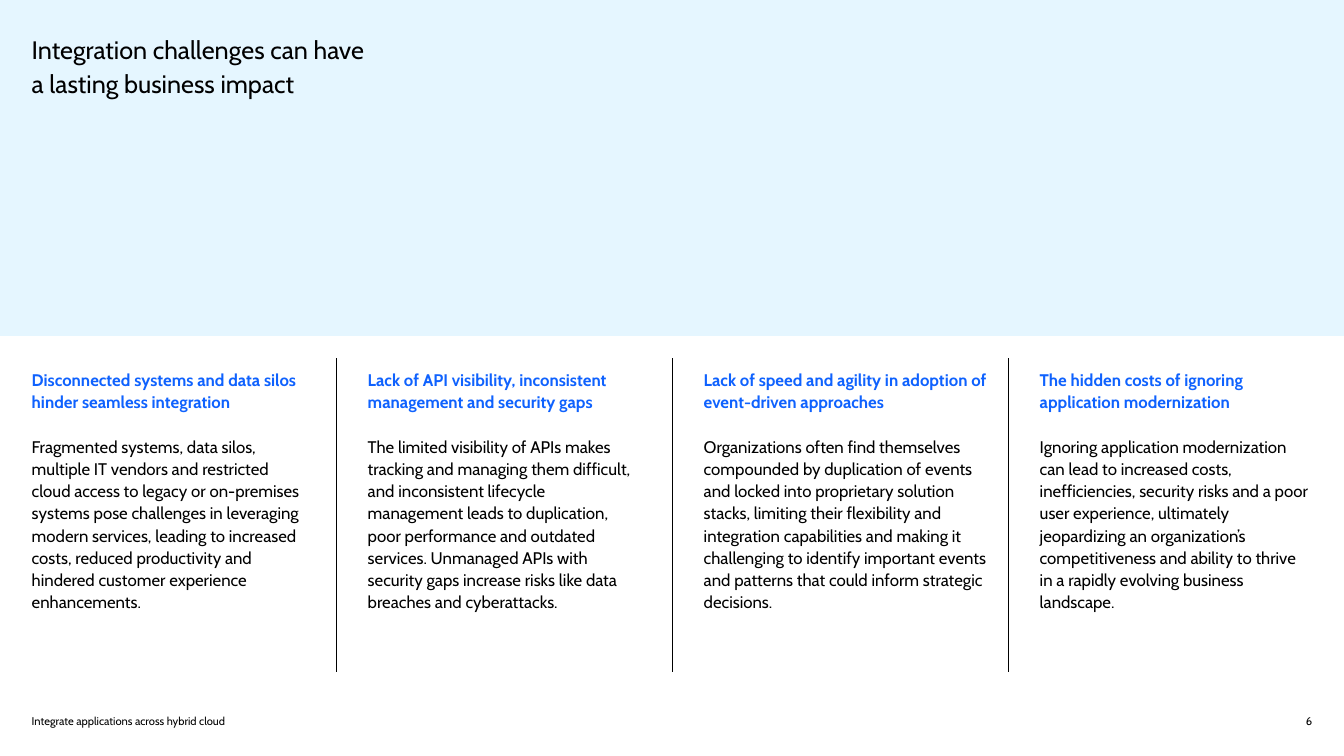
"""Build the slide on the business impact of integration challenges."""
from pptx import Presentation
from pptx.dml.color import RGBColor
from pptx.enum.shapes import MSO_CONNECTOR, MSO_SHAPE
from pptx.enum.text import MSO_ANCHOR as Anchor, PP_ALIGN as Align
from pptx.oxml.ns import qn
from pptx.util import Cm, Pt
from lxml.etree import SubElement

TITLE = "Integration challenges can have a lasting business impact"
FOOTER = "Integrate applications across hybrid cloud"
PAGE = "6"
COLUMNS = [
    ("Disconnected systems and data silos hinder seamless integration",
     "Fragmented systems, data silos, multiple IT vendors and restricted cloud access to legacy "
     "or on-premises systems pose challenges in leveraging modern services, leading to increased "
     "costs, reduced productivity and hindered customer experience enhancements.", 13.74),
    ("Lack of API visibility, inconsistent management and security gaps",
     "The limited visibility of APIs makes tracking and managing them difficult, and inconsistent "
     "lifecycle management leads to duplication, poor performance and outdated services. "
     "Unmanaged APIs with security gaps increase risks like data breaches and cyberattacks.", 13.74),
    ("Lack of speed and agility in adoption of event-driven approaches",
     "Organizations often find themselves compounded by duplication of events and locked into "
     "proprietary solution stacks, limiting their flexibility and integration capabilities and "
     "making it challenging to identify important events and patterns that could inform "
     "strategic decisions.", 14.76),
    ("The hidden costs of ignoring application modernization",
     "Ignoring application modernization can lead to increased costs, inefficiencies, security "
     "risks and a poor user experience, ultimately jeopardizing an organization’s "
     "competitiveness and ability to thrive in a rapidly evolving business landscape.", 13.74),
]
FONT, BLACK, BLUE, PALE = "Cabin", "000000", "0F62FE", "E5F6FF"
WIDTH, HEIGHT, MARGIN = 67.73, 38.1, 1.6
BAND = 16.93
PITCH = WIDTH / len(COLUMNS)


def color(value):
    return RGBColor.from_string(value)


def add_text(s, x, y, w, h, paragraphs, spacing=None, anchor=Anchor.TOP, align=Align.LEFT, wrap=True):
    tf = s.shapes.add_textbox(Cm(x), Cm(y), Cm(w), Cm(h)).text_frame
    tf.margin_left = tf.margin_top = tf.margin_right = tf.margin_bottom = 0
    tf.word_wrap, tf.vertical_anchor = wrap, anchor
    for i, (text, size, fill, bold) in enumerate(paragraphs):
        p = tf.add_paragraph() if i else tf.paragraphs[0]
        p.text, p.alignment = text, align
        if spacing:
            p.line_spacing = spacing
        if i:
            p.space_before = Pt(32)
        p.font.name, p.font.size, p.font.bold = FONT, Pt(size), bold
        p.font.color.rgb = color(fill)


def add_divider(s, x, top, bottom):
    line = s.shapes.add_connector(MSO_CONNECTOR.STRAIGHT, Cm(x), Cm(top), Cm(x), Cm(bottom))
    line.line.color.rgb = color(BLACK)
    line.line.width = Pt(1)
    SubElement(line._element.spPr, qn("a:effectLst"))


def main():
    prs = Presentation()
    prs.slide_width, prs.slide_height = Cm(WIDTH), Cm(HEIGHT)
    s = prs.slides.add_slide(prs.slide_layouts[6])

    band = s.shapes.add_shape(MSO_SHAPE.RECTANGLE, 0, 0, Cm(WIDTH), Cm(BAND))
    band.shadow.inherit = False
    band.fill.solid()
    band.fill.fore_color.rgb = color(PALE)
    band.line.fill.background()

    add_text(s, MARGIN, MARGIN, 17.55, 6.86, [(TITLE, 36, BLACK, False)], 1.1)
    for i, (heading, body, width) in enumerate(COLUMNS):
        add_text(s, MARGIN + i * PITCH, 18.54, width, 15.34,
                 [(heading, 24, BLUE, True), (body, 24, BLACK, False)], 1.1)
        if i:
            add_divider(s, i * PITCH, 18.06, 33.88)

    add_text(s, MARGIN, 35.61, 13.77, 1.07, [(FOOTER, 16, BLACK, False)], anchor=Anchor.BOTTOM)
    add_text(s, WIDTH - MARGIN - 0.76, 35.97, 0.76, 0.69, [(PAGE, 16, BLACK, False)],
             anchor=Anchor.MIDDLE, align=Align.RIGHT, wrap=False)
    prs.save("out.pptx")


if __name__ == "__main__":
    main()
